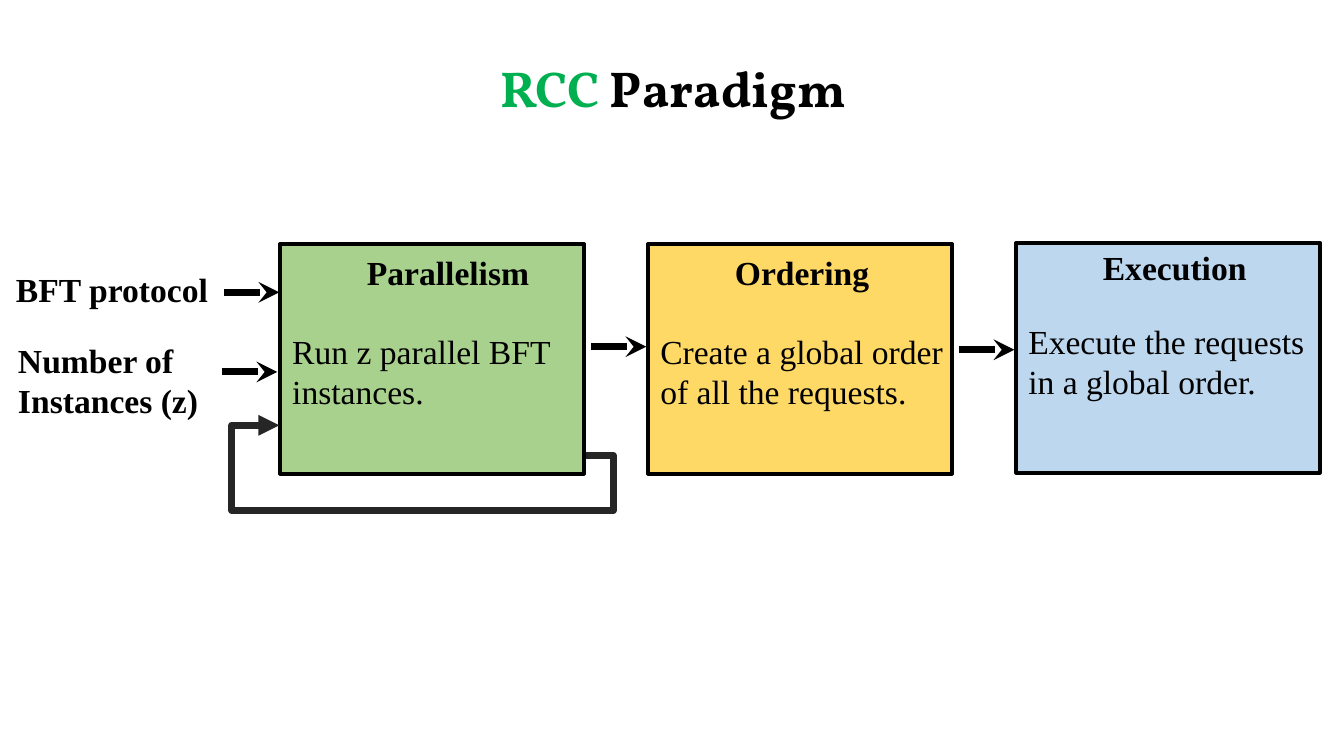
from lxml import etree
from pptx import Presentation
from pptx import util as u
from pptx.dml.color import RGBColor
from pptx.enum import shapes, text
from pptx.oxml import ns

BLACK = RGBColor(0x00, 0x00, 0x00)
CHARCOAL = RGBColor(0x26, 0x26, 0x26)
TITLE_GREEN = RGBColor(0x00, 0xB0, 0x50)
GREEN = RGBColor(0xA9, 0xD1, 0x8E)
YELLOW = RGBColor(0xFF, 0xD9, 0x66)
BLUE = RGBColor(0xBD, 0xD7, 0xEE)


class ParadigmSlide:
    """Draws the elements of the slide in one shared style."""

    body_font = "Times New Roman"
    title_font = "Vollkorn"

    def __init__(self, slide):
        self.slide = slide

    def text_box(self, lines, left, top, width, height, bold=False, wrap=False):
        shape = self.slide.shapes.add_textbox(*map(u.Inches, (left, top, width, height)))
        frame = shape.text_frame
        frame.text = "\n".join(lines)
        frame.word_wrap = wrap
        for paragraph in frame.paragraphs:
            for run in paragraph.runs:
                self.style(run, self.body_font, 24, BLACK, bold)
        return frame

    def style(self, run, name, size, color, bold):
        run.font.name = name
        run.font.size = u.Pt(size)
        run.font.bold = bold
        run.font.color.rgb = color

    def title(self, parts, left, top, width, height):
        frame = self.text_box([], left, top, width, height, wrap=True)
        frame.vertical_anchor = text.MSO_ANCHOR.MIDDLE
        paragraph = frame.paragraphs[0]
        paragraph.alignment = text.PP_ALIGN.CENTER
        paragraph.line_spacing = 0.9
        for words, color in parts:
            run = paragraph.add_run()
            run.text = words
            self.style(run, self.title_font, 36, color, True)

    def box(self, color, left, top, width, height):
        shape = self.slide.shapes.add_shape(
            shapes.MSO_SHAPE.RECTANGLE, *map(u.Inches, (left, top, width, height)))
        shape.shadow.inherit = False
        shape.fill.solid()
        shape.fill.fore_color.rgb = color
        shape.line.color.rgb = BLACK
        shape.line.width = u.Pt(3)

    def arrow(self, start, end, color=BLACK, head="stealth", kind=shapes.MSO_CONNECTOR.STRAIGHT):
        connector = self.slide.shapes.add_connector(kind, *map(u.Inches, start + end))
        connector.line.color.rgb = color
        connector.line.width = u.Pt(5)
        properties = connector._element.spPr
        etree.SubElement(properties.find(ns.qn("a:ln")), ns.qn("a:tailEnd"), type=head)
        etree.SubElement(properties, ns.qn("a:effectLst"))
        return connector

    def loop(self, start, end, bends):
        connector = self.arrow(start, end, CHARCOAL, "triangle", shapes.MSO_CONNECTOR.ELBOW)
        geometry = connector._element.spPr.find(ns.qn("a:prstGeom"))
        geometry.set("prst", "bentConnector5")
        guides = geometry.find(ns.qn("a:avLst"))
        if guides is None:
            guides = etree.SubElement(geometry, ns.qn("a:avLst"))
        for number, bend in enumerate(bends, 1):
            etree.SubElement(guides, ns.qn("a:gd"), name=f"adj{number}", fmla=f"val {bend}")


def main():
    presentation = Presentation()
    presentation.slide_width = u.Inches(13.33)
    presentation.slide_height = u.Inches(7.5)
    slide = ParadigmSlide(presentation.slides.add_slide(presentation.slide_layouts[6]))

    slide.title([("RCC", TITLE_GREEN), (" Paradigm", BLACK)], 0.01, 0.58, 13.33, 0.65)
    slide.text_box(["BFT protocol"], 0.06, 2.62, 2.12, 0.5, bold=True)
    slide.text_box(["Number of", "Instances (z)"], 0.08, 3.32, 2.01, 0.91, bold=True)

    stages = [
        ("Parallelism", ["Run z parallel BFT", "instances."], GREEN, 2.42, 2.45, 3.23, 1.83, 2.93),
        ("Ordering", ["Create a global order", "of all the requests."], YELLOW, 2.42, 2.45, 3.23, 1.55, 3.11),
        ("Execution", ["Execute the requests", "in a global order."], BLUE, 2.41, 2.4, 3.13, 1.64, 3.05),
    ]
    for index, stage in enumerate(stages):
        heading, lines, color, top, heading_top, lines_top, heading_width, lines_width = stage
        left = 2.78 + 3.65 * index
        slide.box(color, left, top, 3.01, 2.28)
        slide.text_box([heading], left + 0.76, heading_top, heading_width, 0.5, bold=True)
        slide.text_box(lines, left + 0.02, lines_top, lines_width, 0.91)

    slide.loop((5.81, 4.52), (2.77, 4.22), (-9000, -181500, 115500))
    for left, top in ((2.22, 2.9), (2.2, 3.69), (5.86, 3.44), (9.51, 3.47)):
        slide.arrow((left, top), (left + 0.55, top))

    presentation.save("out.pptx")


if __name__ == "__main__":
    main()
